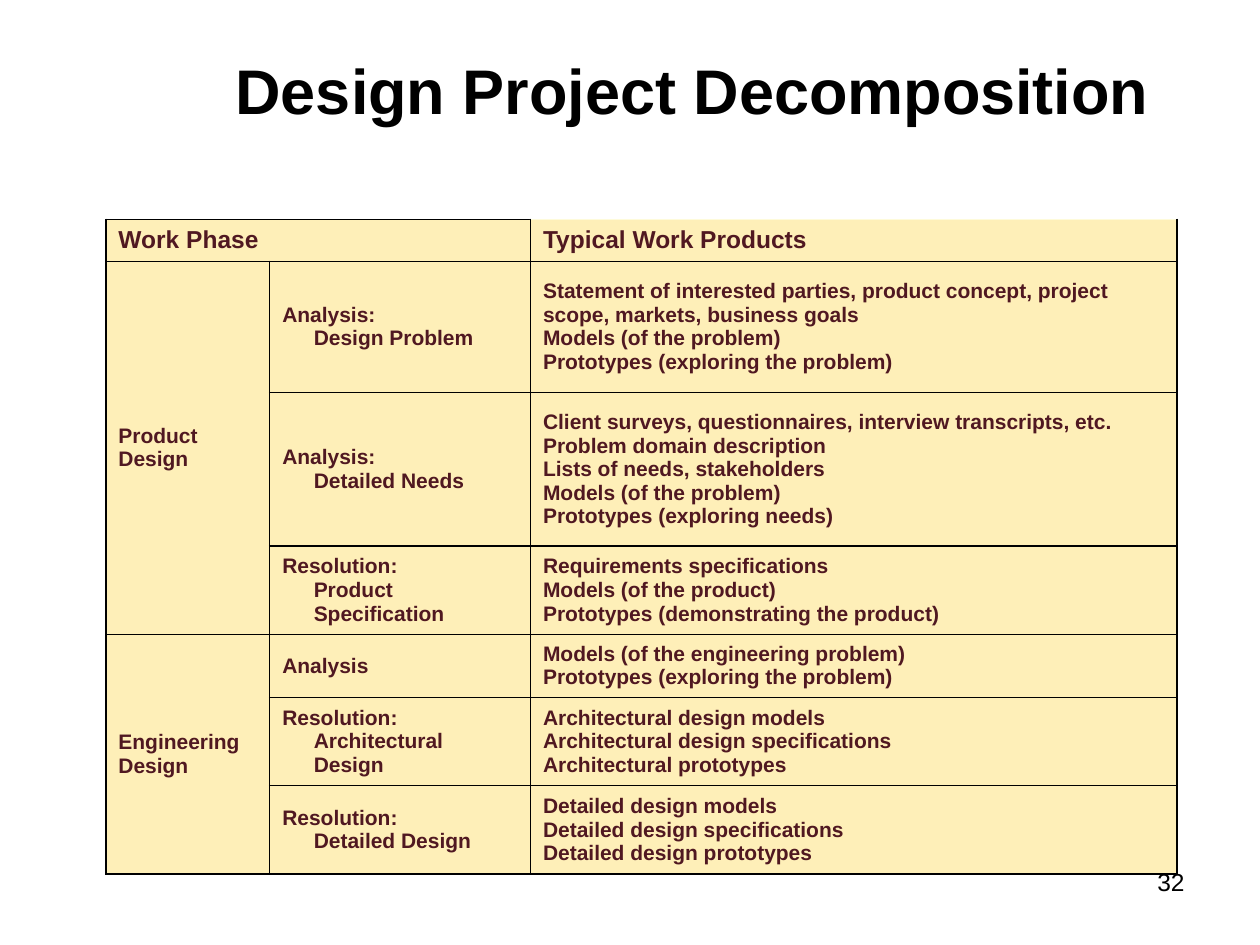
from copy import deepcopy
from typing import NamedTuple

from lxml.etree import SubElement
from pptx import Presentation
from pptx.dml.color import RGBColor
from pptx.enum.text import MSO_ANCHOR, PP_ALIGN
from pptx.oxml.ns import qn
from pptx.util import Inches, Pt

BLACK = RGBColor(0x00, 0x00, 0x00)
MAROON = RGBColor(0x50, 0x18, 0x21)
CREAM = RGBColor(0xFE, 0xEF, 0xB8)
PALE = RGBColor(0xFE, 0xFB, 0xDA)

COLS = [1.3, 2.07, 5.13]
ROWS = [0.33, 1.04, 1.22, 0.7, 0.5, 0.7, 0.7]
INDENT = 0.25


class Step(NamedTuple):
    name: str
    items: str


class Phase(NamedTuple):
    name: str
    steps: list[Step]


PHASES = [
    Phase("Product Design", [
        Step("Analysis:\nDesign Problem",
             "Statement of interested parties, product concept, project "
             "scope, markets, business goals\n"
             "Models (of the problem)\nPrototypes (exploring the problem)"),
        Step("Analysis:\nDetailed Needs",
             "Client surveys, questionnaires, interview transcripts, etc.\n"
             "Problem domain description\nLists of needs, stakeholders\n"
             "Models (of the problem)\nPrototypes (exploring needs)"),
        Step("Resolution:\nProduct Speciﬁcation",
             "Requirements speciﬁcations\nModels (of the product)\n"
             "Prototypes (demonstrating the product)"),
    ]),
    Phase("Engineering Design", [
        Step("Analysis",
             "Models (of the engineering problem)\n"
             "Prototypes (exploring the problem)"),
        Step("Resolution: Architectural Design",
             "Architectural design models\n"
             "Architectural design speciﬁcations\nArchitectural prototypes"),
        Step("Resolution:\nDetailed Design",
             "Detailed design models\nDetailed design speciﬁcations\n"
             "Detailed design prototypes"),
    ]),
]


def write(frame, text: str, *, size: float = 12, color: RGBColor = MAROON,
          bold: bool = True, align=PP_ALIGN.LEFT, hang: float = 0) -> None:
    """Fill a text frame with one paragraph; newlines become line breaks."""
    frame.word_wrap = True
    para = frame.paragraphs[0]
    para.text = text
    para.alignment = align
    if hang:
        props = para._p.get_or_add_pPr()
        props.set("marL", str(Inches(hang)))
        props.set("indent", str(-Inches(hang)))
    for run in para.runs:
        font = run.font
        font.name, font.size, font.bold = "Arial", Pt(size), bold
        font.color.rgb = color
    # Breaks take the run format, so that line heights agree
    for mark in para._p.findall(qn("a:br")):
        mark.append(deepcopy(para.runs[0]._r.rPr))


def label(slide, box: tuple, text: str, *, anchor=MSO_ANCHOR.TOP,
          **style) -> None:
    frame = slide.shapes.add_textbox(*map(Inches, box)).text_frame
    frame.vertical_anchor = anchor
    write(frame, text, **style)


def dress(cell, top: RGBColor = BLACK) -> None:
    """Give a cell its borders, fill and anchor."""
    props = cell._tc.get_or_add_tcPr()
    for side in "LRTB":
        line = SubElement(props, qn(f"a:ln{side}"), w=str(Pt(1)))
        fill = SubElement(line, qn("a:solidFill"))
        tone = top if side == "T" else BLACK
        SubElement(fill, qn("a:srgbClr"), val=str(tone))
    cell.fill.solid()
    cell.fill.fore_color.rgb = CREAM
    cell.vertical_anchor = MSO_ANCHOR.MIDDLE


def add_grid(slide) -> None:
    shape = slide.shapes.add_table(
        len(ROWS), len(COLS), Inches(0.84), Inches(1.74),
        Inches(sum(COLS)), Inches(sum(ROWS)))
    grid = shape.table
    grid.first_row = grid.horz_banding = False
    for col, width in zip(grid.columns, COLS):
        col.width = Inches(width)
    for row, height in zip(grid.rows, ROWS):
        row.height = Inches(height)
    for r in range(len(ROWS)):
        for c in range(len(COLS)):
            dress(grid.cell(r, c), PALE if (r, c) == (0, 2) else BLACK)

    # Header
    grid.cell(0, 0).merge(grid.cell(0, 1))
    for c, text in ((0, "Work Phase"), (2, "Typical Work Products")):
        write(grid.cell(0, c).text_frame, text, size=14, hang=INDENT)

    # Phases and their steps
    r = 1
    for phase in PHASES:
        head = grid.cell(r, 0)
        head.merge(grid.cell(r + len(phase.steps) - 1, 0))
        write(head.text_frame, phase.name)
        for step in phase.steps:
            write(grid.cell(r, 1).text_frame, step.name, hang=INDENT)
            write(grid.cell(r, 2).text_frame, step.items)
            r += 1


def main() -> None:
    deck = Presentation()
    deck.slide_width, deck.slide_height = Inches(10), Inches(7.5)
    slide = deck.slides.add_slide(deck.slide_layouts[6])

    # Page number
    label(slide, (7.17, 6.83, 2.33, 0.52), "32", size=14, color=BLACK,
          bold=False, align=PP_ALIGN.RIGHT)
    # Title
    label(slide, (1.58, 0.33, 7.83, 0.75), "Design Project Decomposition",
          size=36, color=BLACK, align=PP_ALIGN.CENTER,
          anchor=MSO_ANCHOR.MIDDLE)
    # Work phases
    add_grid(slide)
    deck.save("out.pptx")


if __name__ == "__main__":
    main()
